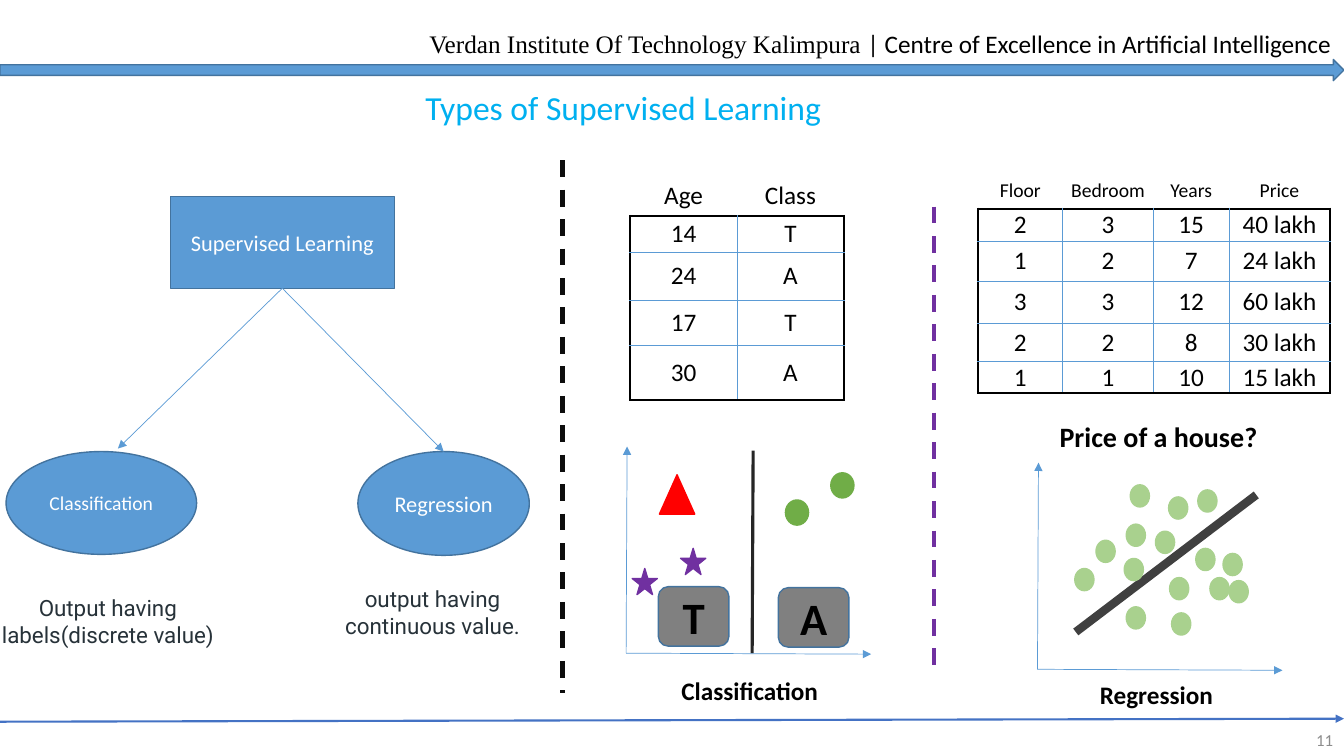
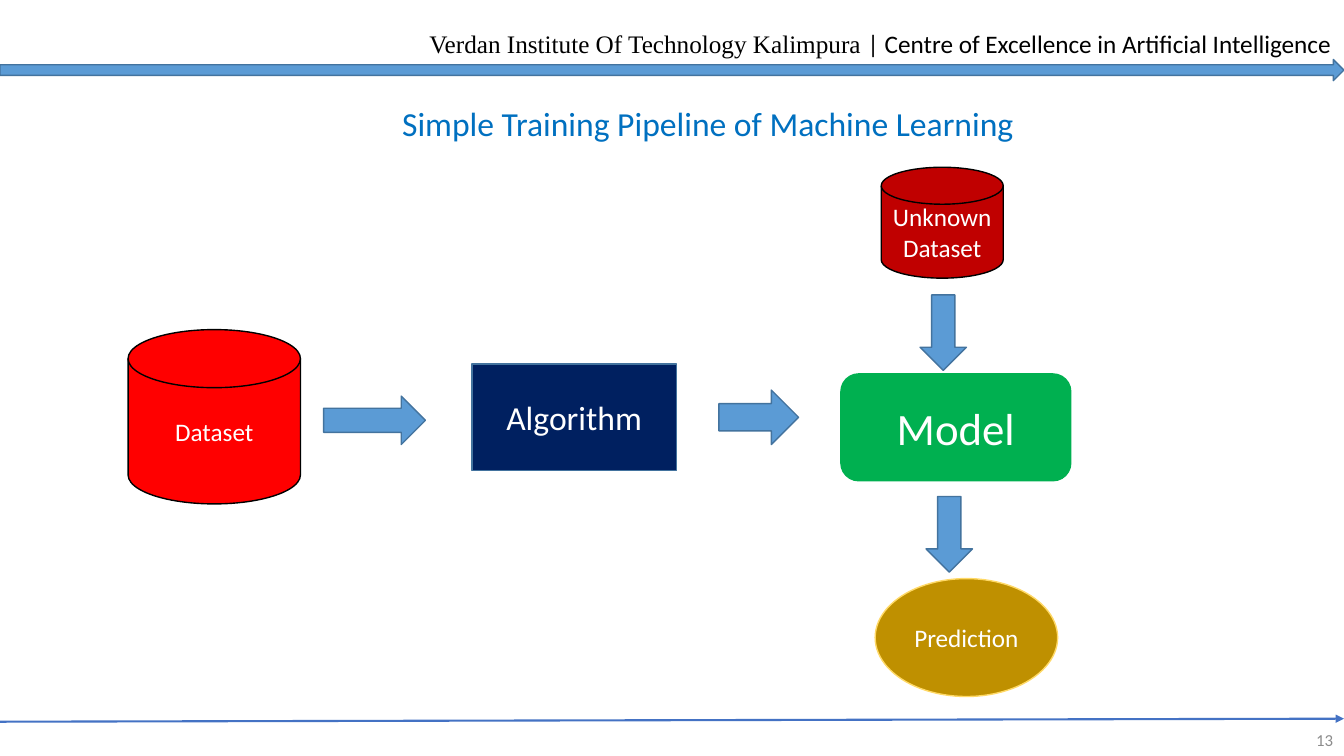
import pptx
import pptx.dml.color
import pptx.enum.dml
import pptx.enum.shapes
import pptx.enum.text
import pptx.oxml
import pptx.oxml.ns
import pptx.util

Inches = pptx.util.Inches
Pt = pptx.util.Pt
rgb = pptx.dml.color.RGBColor.from_string
SHAPE = pptx.enum.shapes.MSO_SHAPE
ALIGN = pptx.enum.text.PP_ALIGN
ANCHOR = pptx.enum.text.MSO_ANCHOR
NAMESPACE = pptx.oxml.ns.nsdecls("a")

BLUE = "5B9BD5"
DARK_BLUE = "43739E"
BLACK = "000000"
WHITE = "FFFFFF"
PURPLE = "7030A0"
GREEN = "70AD47"
LIGHT_GREEN = "A9D18E"


def add_box(slide, kind, left, top, width, height, fill=None, line=None, text="",
            size=18, color=WHITE, bold=False, font="Calibri", align=ALIGN.CENTER,
            wrap=True):
    """Add a preset shape, or a text box when kind is None."""
    place = [Inches(value) for value in (left, top, width, height)]
    if kind is None:
        shape = slide.shapes.add_textbox(*place)
    else:
        shape = slide.shapes.add_shape(kind, *place)
        shape.shadow.inherit = False
        shape.fill.solid()
        shape.fill.fore_color.rgb = rgb(fill)
        shape.line.color.rgb = rgb(line)
        shape.line.width = Pt(1)
        shape.text_frame.vertical_anchor = ANCHOR.MIDDLE
    if text:
        frame = shape.text_frame
        frame.word_wrap = wrap
        frame.text = text
        paragraph = frame.paragraphs[0]
        paragraph.alignment = align
        for run in paragraph.runs:
            run.font.name = font
            run.font.size = Pt(size)
            run.font.bold = bold
            run.font.color.rgb = rgb(color)
    return shape


def add_line(slide, start, end, color=BLUE, width=0.5, arrow=False, dashed=False):
    points = [Inches(value) for value in (*start, *end)]
    connector = slide.shapes.add_connector(
        pptx.enum.shapes.MSO_CONNECTOR.STRAIGHT, *points)
    connector.line.color.rgb = rgb(color)
    connector.line.width = Pt(width)
    if dashed:
        connector.line.dash_style = pptx.enum.dml.MSO_LINE.DASH
    properties = connector._element.spPr
    if arrow:
        properties.find(pptx.oxml.ns.qn("a:ln")).append(
            pptx.oxml.parse_xml(f'<a:tailEnd {NAMESPACE} type="triangle"/>'))
    properties.append(pptx.oxml.parse_xml(f"<a:effectLst {NAMESPACE}/>"))


presentation = pptx.Presentation()
presentation.slide_width = Inches(13.33)
presentation.slide_height = Inches(7.5)

# Shared header, title and footer
slides = []
for number, title, title_place, title_color in [
    ("11", "Types of Supervised Learning", (4.12, 0.81, 4.17, 0.5), "00B0F0"),
    ("13", "Simple Training Pipeline of Machine Learning", (3.89, 0.97, 6.33, 0.5), "0070C0"),
]:
    slide = presentation.slides.add_slide(presentation.slide_layouts[6])
    slides.append(slide)
    header = add_box(slide, None, 4.16, 0.23, 9.18, 0.4, color=BLACK, align=ALIGN.LEFT,
                     text="Verdan Institute Of Technology Kalimpura ",
                     font="Times New Roman", wrap=False)
    centre = header.text_frame.paragraphs[0].add_run()
    centre.text = "| Centre of Excellence in Artificial Intelligence"
    centre.font.name = "Calibri"
    centre.font.size = Pt(18)
    centre.font.color.rgb = rgb(BLACK)
    add_box(slide, SHAPE.RIGHT_ARROW, 0, 0.59, 13.33, 0.21, BLUE, DARK_BLUE)
    add_line(slide, (0, 7.16), (13.33, 7.13), "4472C4", 1.5, arrow=True)
    page = add_box(slide, None, 10.32, 7.14, 3, 0.4, text=number, size=12,
                   color="8C8C8C", align=ALIGN.RIGHT)
    page.text_frame.vertical_anchor = ANCHOR.MIDDLE
    add_box(slide, None, *title_place, text=title, size=24, color=title_color,
            align=ALIGN.LEFT, wrap=False)

types_slide, pipeline_slide = slides

# Tree of supervised learning
add_line(types_slide, (5.58, 1.59), (5.58, 6.88), "0D0D0D", 3, dashed=True)
add_line(types_slide, (9.26, 2.05), (9.26, 6.67), PURPLE, 3, dashed=True)
for kind, place, text, size in [
    (SHAPE.RECTANGLE, (1.69, 1.95, 2.22, 0.91), "Supervised Learning", 16),
    (SHAPE.OVAL, (0.06, 4.48, 1.89, 1.02), "Classification", 14),
    (SHAPE.OVAL, (3.55, 4.48, 1.7, 1.03), "Regression", 16),
]:
    add_box(types_slide, kind, *place, BLUE, DARK_BLUE, text, size)
for branch_end in [(1.17, 4.45), (4.4, 4.48)]:
    add_line(types_slide, (2.8, 2.86), branch_end, arrow=True)
for place, text in [
    ((3.2, 5.76, 2.18, 0.64), "output having continuous value."),
    ((-0.26, 5.85, 2.66, 0.64), "Output having labels(discrete value)"),
]:
    add_box(types_slide, None, *place, text=text, size=16, color="273239", font="Roboto")

# Example tables: an open header row above a framed body
age_rows = [("Age", "Class"), ("14", "T"), ("24", "A"), ("17", "T"), ("30", "A")]
house_rows = [
    ("Floor", "Bedroom", "Years", "Price"),
    ("2", "3", "15", "40 lakh"),
    ("1", "2", "7", "24 lakh"),
    ("3", "3", "12", "60 lakh"),
    ("2", "2", "8", "30 lakh"),
    ("1", "1", "10", "15 lakh"),
]
for rows, left, top, widths, heights, header_size in [
    (age_rows, 6.25, 1.74, [1.06, 1.06], [0.4, 0.36, 0.48, 0.45, 0.54], 18),
    (house_rows, 9.7, 1.71, [0.84, 0.9, 0.75, 1], [0.36, 0.32, 0.4, 0.42, 0.38, 0.31], 14),
]:
    table = types_slide.shapes.add_table(
        len(rows), len(widths), Inches(left), Inches(top),
        Inches(sum(widths)), Inches(sum(heights))).table
    table.first_row = False
    table.horz_banding = False
    for column, width in zip(table.columns, widths):
        column.width = Inches(width)
    last_row, last_column = len(rows) - 1, len(widths) - 1
    for row_index, values in enumerate(rows):
        table.rows[row_index].height = Inches(heights[row_index])
        is_header = row_index == 0
        for column_index, value in enumerate(values):
            cell = table.cell(row_index, column_index)
            cell.margin_left = cell.margin_right = 0
            cell.margin_top = cell.margin_bottom = 0
            cell.vertical_anchor = ANCHOR.MIDDLE
            cell.fill.background()
            cell.text = value
            paragraph = cell.text_frame.paragraphs[0]
            paragraph.alignment = ALIGN.CENTER
            font = paragraph.runs[0].font
            font.name = "Calibri"
            font.size = Pt(header_size if is_header else 18)
            font.color.rgb = rgb(BLACK)
            outer_edges = [
                ("lnL", column_index == 0),
                ("lnR", column_index == last_column),
                ("lnT", row_index == 1),
                ("lnB", row_index in (0, last_row)),
            ]
            for position, (edge, is_outer) in enumerate(outer_edges):
                color, width = (BLACK, 1.5) if is_outer else (BLUE, 0.5)
                paint = f'<a:solidFill><a:srgbClr val="{color}"/></a:solidFill>'
                if is_header and edge != "lnB":
                    paint = "<a:noFill/>"
                border = pptx.oxml.parse_xml(
                    f'<a:{edge} {NAMESPACE} w="{Pt(width)}">{paint}</a:{edge}>')
                cell._tc.get_or_add_tcPr().insert(position, border)

# Plots of classification and regression
for left, bottom in [(6.21, 6.48), (10.29, 6.64)]:
    add_line(types_slide, (left, bottom), (left + 2.43, bottom + 0.01), arrow=True)
    add_line(types_slide, (left, bottom), (left + 0.01, bottom - 2.05), arrow=True)
for kind, left, top, width, height, color in [
    (SHAPE.STAR_5_POINT, 6.27, 5.64, 0.25, 0.26, PURPLE),
    (SHAPE.STAR_5_POINT, 6.75, 5.44, 0.25, 0.26, PURPLE),
    (SHAPE.FLOWCHART_CONNECTOR, 7.79, 4.96, 0.23, 0.25, GREEN),
    (SHAPE.FLOWCHART_CONNECTOR, 8.24, 4.69, 0.23, 0.25, GREEN),
    (SHAPE.ISOSCELES_TRIANGLE, 6.54, 4.71, 0.35, 0.39, "FF0000"),
]:
    add_box(types_slide, kind, left, top, width, height, color, color)
add_line(types_slide, (7.47, 4.47), (7.46, 6.48), "262626", 2.25)
for left, top, text in [(6.53, 5.82, "T"), (7.72, 5.83, "A")]:
    add_box(types_slide, SHAPE.FLOWCHART_ALTERNATE_PROCESS, left, top, 0.7, 0.59,
            "808080", DARK_BLUE, text, 32, BLACK, bold=True)

add_line(types_slide, (12.46, 4.91), (10.67, 6.27), "404040", 6)
for left, top in [
    (11.17, 5.2), (11.15, 5.54), (11.46, 5.27), (10.87, 5.36), (11.59, 4.93),
    (11.88, 4.86), (11.21, 4.81), (10.66, 5.64), (11.17, 6.02), (11.6, 5.73),
    (11.86, 5.44), (12.13, 5.49), (12.19, 5.76), (12, 5.73), (11.62, 6.08),
]:
    add_box(types_slide, SHAPE.FLOWCHART_CONNECTOR, left, top, 0.19, 0.22,
            LIGHT_GREEN, LIGHT_GREEN)
for place, text, size in [
    ((10.41, 4.11, 2.18, 0.44), "Price of a house?", 20),
    ((6.66, 6.65, 1.57, 0.4), "Classification", 18),
    ((10.81, 6.69, 1.33, 0.4), "Regression", 18),
]:
    add_box(types_slide, None, *place, text=text, size=size, color=BLACK, bold=True,
            align=ALIGN.LEFT, wrap=False)

# Training pipeline
for kind, place, fill, line, text, size in [
    (SHAPE.FLOWCHART_MAGNETIC_DISK, (1.27, 3.27, 1.71, 1.73), "FF0000", BLACK, "Dataset", 18),
    (SHAPE.RECTANGLE, (4.68, 3.61, 2.03, 1.06), "002060", DARK_BLUE, "Algorithm", 24),
    (SHAPE.FLOWCHART_ALTERNATE_PROCESS, (8.34, 3.71, 2.28, 1.06),
     "00B050", "00B050", "Model", 32),
    (SHAPE.FLOWCHART_MAGNETIC_DISK, (8.74, 1.66, 1.21, 1.1),
     "C00000", BLACK, "Unknown Dataset", 18),
    (SHAPE.OVAL, (8.68, 5.74, 1.81, 1.17), "BF9000", "FFD966", "Prediction", 18),
]:
    add_box(pipeline_slide, kind, *place, fill, line, text, size)
for place, rotation in [
    ((3.21, 3.93, 1.01, 0.48), 0),
    ((7.13, 3.87, 0.79, 0.54), 0),
    ((8.98, 3.07, 0.75, 0.46), 90),
    ((9.04, 5.07, 0.75, 0.46), 90),
]:
    arrow = add_box(pipeline_slide, SHAPE.RIGHT_ARROW, *place, BLUE, DARK_BLUE)
    arrow.rotation = rotation

presentation.save("out.pptx")
